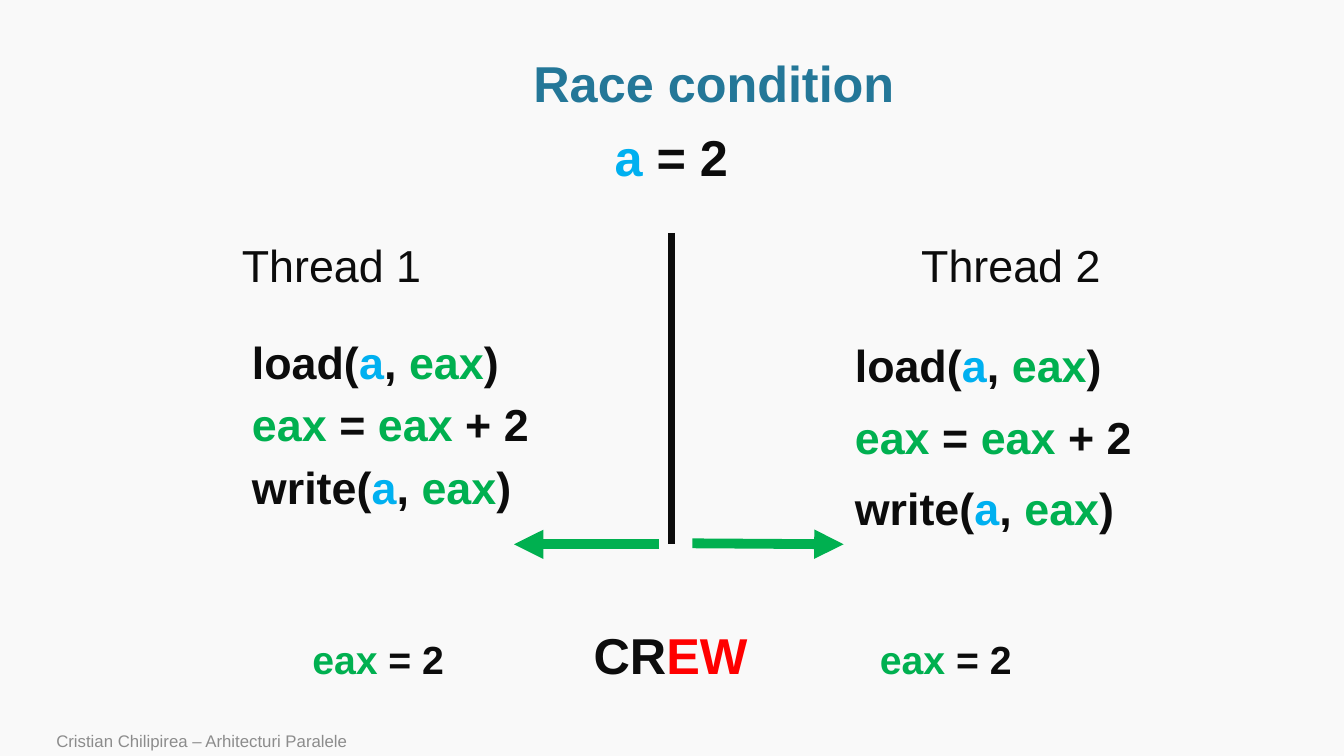
import pptx
import pptx.dml.color
import pptx.enum.shapes
import pptx.enum.text
import pptx.oxml
import pptx.oxml.ns
import pptx.util

Pt = pptx.util.Pt
ANCHOR = pptx.enum.text.MSO_ANCHOR
COLORS = {
    "background": "F9F9F9", "title": "247798", "ink": "0C0C0C",
    "variable": "00B0F0", "register": "00B050", "exclusive": "FF0000",
    "footer": "8C8C8C",
}

# Content: each line is a list of (text, colour name) runs
TITLE = [[("Race condition", "title")]]
START_VALUE = [[("a", "variable"), (" = 2", "ink")]]
ARGUMENTS = [("a", "variable"), (", ", "ink"), ("eax", "register"), (")", "ink")]
CODE = [
    [("load(", "ink")] + ARGUMENTS,
    [("eax", "register"), (" = ", "ink"), ("eax", "register"), (" + 2", "ink")],
    [("write(", "ink")] + ARGUMENTS,
]
REGISTER_VALUE = [[("eax ", "register"), ("= 2", "ink")]]
MODEL = [[("CR", "ink"), ("EW", "exclusive")]]
FOOTER = [[("Cristian Chilipirea – Arhitecturi Paralele", "footer")]]
THREADS = [("Thread 1", 172.8, 216), ("Thread 2", 658, 621.4)]  # name, left, value left

# Lines: start, end, colour, width, arrowhead
LINES = [
    ((480, 166.3), (480, 388.8), "ink", 5, False),
    ((470.9, 388.8), (367.2, 388.8), "register", 7, True),
    ((494.6, 388.1), (602.6, 388.8), "register", 7, True),
]


def color(name):
    return pptx.dml.color.RGBColor.from_string(COLORS[name])


def write(shape, lines, size, bold=True, align=None, spacing=None, before=0,
          anchor=ANCHOR.TOP, wrap=True, grow=False, side=7.2):
    frame = shape.text_frame
    frame.word_wrap = wrap
    sizing = pptx.enum.text.MSO_AUTO_SIZE
    frame.auto_size = sizing.SHAPE_TO_FIT_TEXT if grow else sizing.NONE
    frame.vertical_anchor = anchor
    frame.margin_left = frame.margin_right = Pt(side)
    frame.margin_top = frame.margin_bottom = Pt(3.6)
    for index, runs in enumerate(lines):
        paragraph = frame.add_paragraph() if index else frame.paragraphs[0]
        paragraph.alignment = align
        paragraph.line_spacing = spacing
        paragraph.space_before = Pt(before if index else 0)
        for text, color_name in runs:
            run = paragraph.add_run()
            run.text = text
            run.font.name = "Arial"
            run.font.size = Pt(size)
            run.font.bold = bold
            run.font.color.rgb = color(color_name)


def place(shape, left, top, width, height):
    shape.left, shape.top = Pt(left), Pt(top)
    shape.width, shape.height = Pt(width), Pt(height)
    return shape


def add_text(slide, box, lines, size, **style):
    shape = slide.shapes.add_textbox(*[Pt(length) for length in box])
    write(shape, lines, size, **style)


def add_line(slide, start, end, color_name, width, arrow):
    line = slide.shapes.add_connector(
        pptx.enum.shapes.MSO_CONNECTOR.STRAIGHT,
        *[Pt(length) for length in start + end])
    line.line.color.rgb = color(color_name)
    line.line.width = Pt(width)
    qualified = pptx.oxml.ns.qn
    properties = line.element.spPr
    if arrow:
        head = properties.find(qualified("a:ln")).makeelement(
            qualified("a:tailEnd"), {"type": "triangle"})
        properties.find(qualified("a:ln")).append(head)
    properties.append(properties.makeelement(qualified("a:effectLst"), {}))


def remove_bullets(shape):
    for paragraph in shape.text_frame.paragraphs:
        properties = paragraph._p.get_or_add_pPr()
        properties.set("marL", "0")
        properties.set("indent", "0")
        properties.append(properties.makeelement(pptx.oxml.ns.qn("a:buNone"), {}))


def main():
    presentation = pptx.Presentation()
    presentation.slide_width, presentation.slide_height = Pt(960), Pt(540)
    slide = presentation.slides.add_slide(presentation.slide_layouts[1])
    slide.background.fill.solid()
    slide.background.fill.fore_color.rgb = color("background")

    # Title and the shared variable
    write(place(slide.shapes.title, 82, 36.7, 856, 49.7), TITLE, 36, spacing=0.9,
          align=pptx.enum.text.PP_ALIGN.CENTER, anchor=ANCHOR.MIDDLE)
    add_text(slide, (432, 86.4, 96.5, 51), START_VALUE, 36, wrap=False, grow=True)

    # Code of both threads
    body = place(slide.placeholders[1], 172.8, 239.8, 229, 177)
    write(body, CODE, 32, spacing=0.9, before=10)
    remove_bullets(body)
    add_text(slide, (610.6, 237.6, 229, 177), CODE, 32, before=12.8, side=0)

    # Thread headings and register values
    for name, left, value_left in THREADS:
        add_text(slide, (left, 166.3, 186.5, 47.5), [[(name, "ink")]], 32,
                 bold=False, side=0)
        add_text(slide, (value_left, 450, 151.2, 41), REGISTER_VALUE, 28, grow=True)

    # Divider and arrows
    for line in LINES:
        add_line(slide, *line)

    # Memory model and footer
    add_text(slide, (416.9, 442, 125.3, 51), MODEL, 36, wrap=False, grow=True)
    add_text(slide, (33.1, 519.8, 707, 20.2), FOOTER, 12, bold=False,
             anchor=ANCHOR.BOTTOM)

    presentation.save("out.pptx")


if __name__ == "__main__":
    main()
